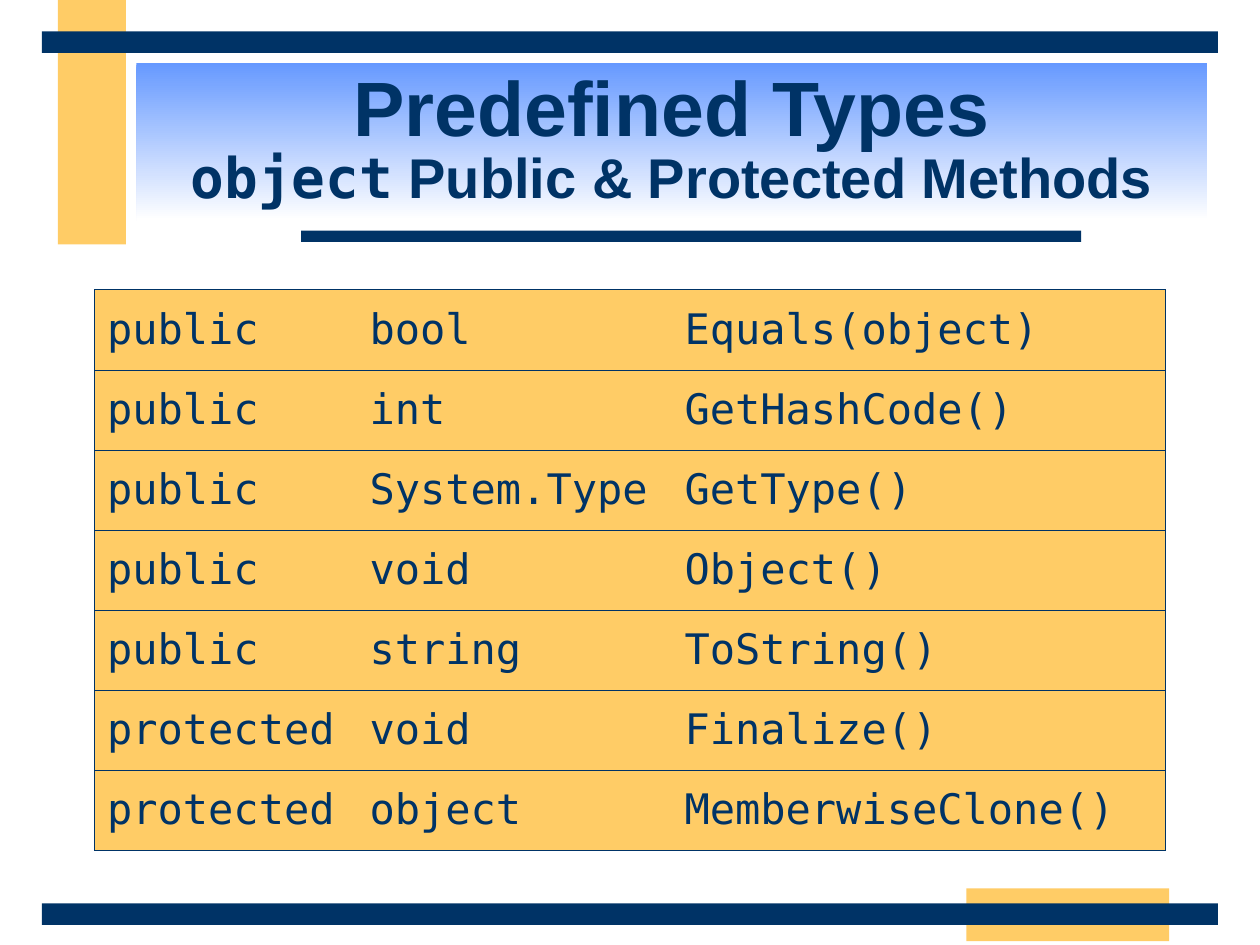
from pptx import Presentation, util as u
from pptx.dml.color import RGBColor
from pptx.enum import shapes, text
from pptx.oxml import ns, xmlchemy as xc

NAVY = RGBColor(0x00, 0x33, 0x66)
GOLD = RGBColor(0xFF, 0xCC, 0x66)
BLUE = RGBColor(0x66, 0x99, 0xFF)
WHITE = RGBColor(0xFF, 0xFF, 0xFF)
SANS, MONO = "Arial", "DejaVu Sans Mono"

METHODS = [
    ("public", "bool", "Equals(object)"),
    ("public", "int", "GetHashCode()"),
    ("public", "System.Type", "GetType()"),
    ("public", "void", "Object()"),
    ("public", "string", "ToString()"),
    ("protected", "void", "Finalize()"),
    ("protected", "object", "MemberwiseClone()"),
]
COLUMN_PARTS = (25, 30, 47)


def share(box, x, y, w, h):
    """Return the part of a box given in percent of its width and height."""
    left, top, width, height = box
    return (left + int(width * x / 100), top + int(height * y / 100),
            int(width * w / 100), int(height * h / 100))


def add_block(s, box):
    """Add a rectangle without line or shadow."""
    sp = s.shapes.add_shape(shapes.MSO_SHAPE.RECTANGLE, *box)
    sp.shadow.inherit = False
    sp.line.fill.background()
    return sp


def add_run(p, words, size, font, bold=False):
    """Add one navy run to a paragraph."""
    r = p.add_run()
    r.text = words
    r.font.size, r.font.name, r.font.bold = u.Pt(size), font, bold
    r.font.color.rgb = NAVY


def add_frame(s, box):
    """Place the gold tabs and the navy bars around the slide."""
    bars = [
        (GOLD, (4.6, 0, 5.4, 25.87)),
        (GOLD, (76.7, 94, 16.1, 5.6)),
        (NAVY, (23.9, 24.4, 61.9, 1.2)),
        (NAVY, (3.33, 95.6, 93.33, 2.27)),
        (NAVY, (3.33, 3.33, 93.33, 2.27)),
    ]
    for color, part in bars:
        sp = add_block(s, share(box, *part))
        sp.fill.solid()
        sp.fill.fore_color.rgb = color


def add_title(s, box):
    """Place the two-line title on its gradient band."""
    sp = add_block(s, box)
    sp.fill.gradient()
    sp.fill.gradient_angle = 270
    for stop, color, position in zip(sp.fill.gradient_stops, (BLUE, WHITE), (0, 1)):
        stop.color.rgb = color
        stop.position = position
    tf = sp.text_frame
    tf.word_wrap = True
    tf.vertical_anchor = text.MSO_ANCHOR.MIDDLE
    p = tf.paragraphs[0]
    p.alignment = text.PP_ALIGN.CENTER
    p.line_spacing = 0.85
    add_run(p, "Predefined Types", 44, SANS, True)
    p.add_line_break()
    add_run(p, "object", 32, MONO, True)
    add_run(p, " Public & Protected Methods", 32, SANS, True)


def set_border(cell, side, visible):
    """Draw or hide the border on one side of a cell."""
    paint = f'<a:solidFill><a:srgbClr val="{NAVY}"/></a:solidFill>' if visible else "<a:noFill/>"
    line = xc.parse_xml(f'<a:ln{side} {ns.nsdecls("a")} w="5715">{paint}</a:ln{side}>') \
        if hasattr(xc, "parse_xml") else None
    if line is None:
        from pptx.oxml import parse_xml
        line = parse_xml(f'<a:ln{side} {ns.nsdecls("a")} w="5715">{paint}</a:ln{side}>')
    cell._tc.get_or_add_tcPr().append(line)


def add_methods(s, box):
    """Place the table of methods with horizontal rules and an outer border."""
    table = s.shapes.add_table(len(METHODS), len(COLUMN_PARTS), *box).table
    table.first_row = table.horz_banding = False
    for column, part in zip(table.columns, COLUMN_PARTS):
        column.width = int(box[2] * part / sum(COLUMN_PARTS))
    last = len(COLUMN_PARTS) - 1
    for i, row in enumerate(METHODS):
        for j, words in enumerate(row):
            cell = table.cell(i, j)
            cell.vertical_anchor = text.MSO_ANCHOR.MIDDLE
            for side, visible in (("L", j == 0), ("R", j == last), ("T", True), ("B", True)):
                set_border(cell, side, visible)
            cell.fill.solid()
            cell.fill.fore_color.rgb = GOLD
            add_run(cell.text_frame.paragraphs[0], words, 24, MONO)


def main():
    """Build the slide and save it."""
    prs = Presentation()
    prs.slide_width, prs.slide_height = u.Inches(10), u.Inches(7.5)
    s = prs.slides.add_slide(prs.slide_layouts[6])
    page = (0, 0, prs.slide_width, prs.slide_height)
    add_frame(s, page)
    add_title(s, share(page, 10.83, 6.67, 85, 16.67))
    add_methods(s, share(page, 7.5, 30.67, 85, 59.33))
    prs.save("out.pptx")


if __name__ == "__main__":
    main()
